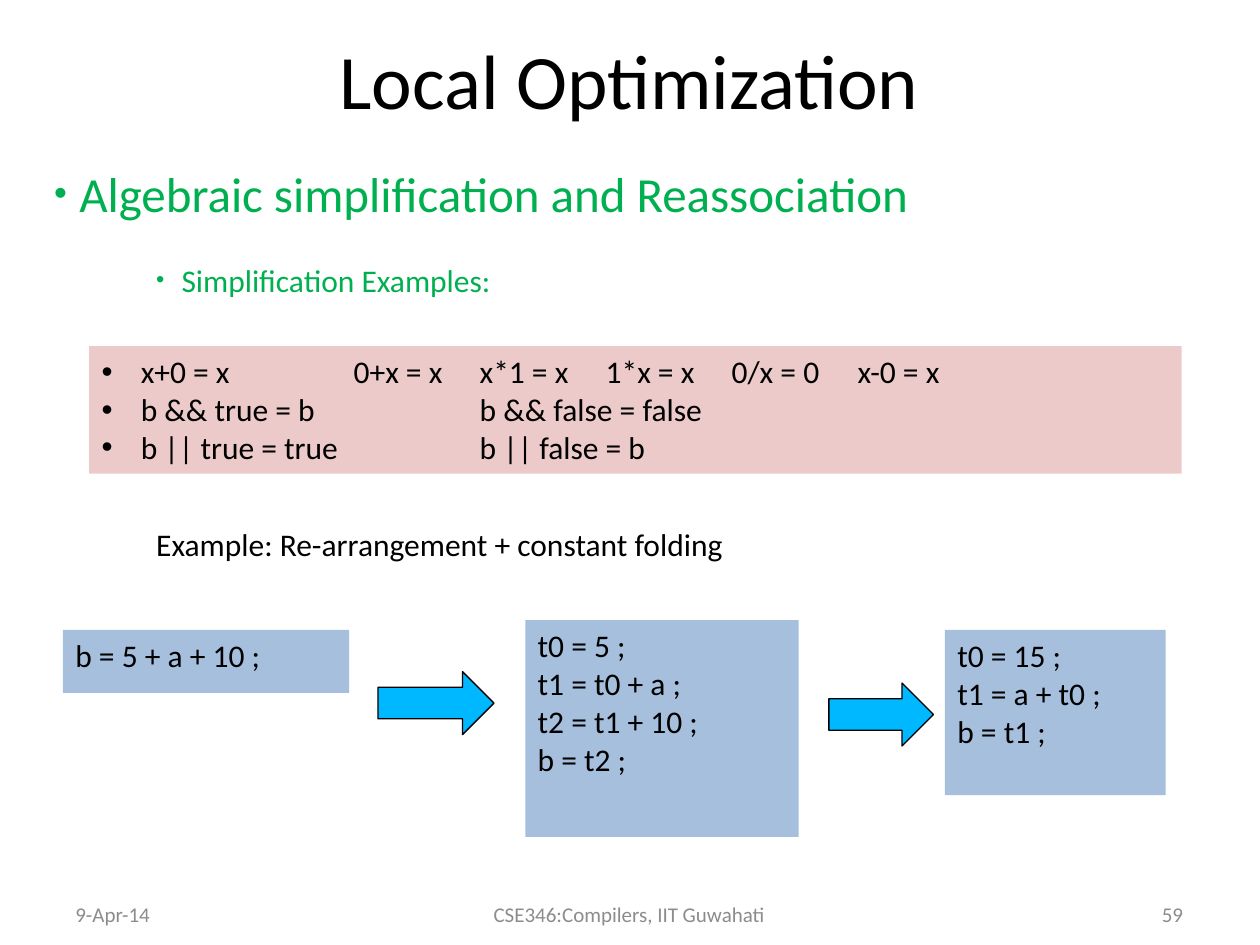
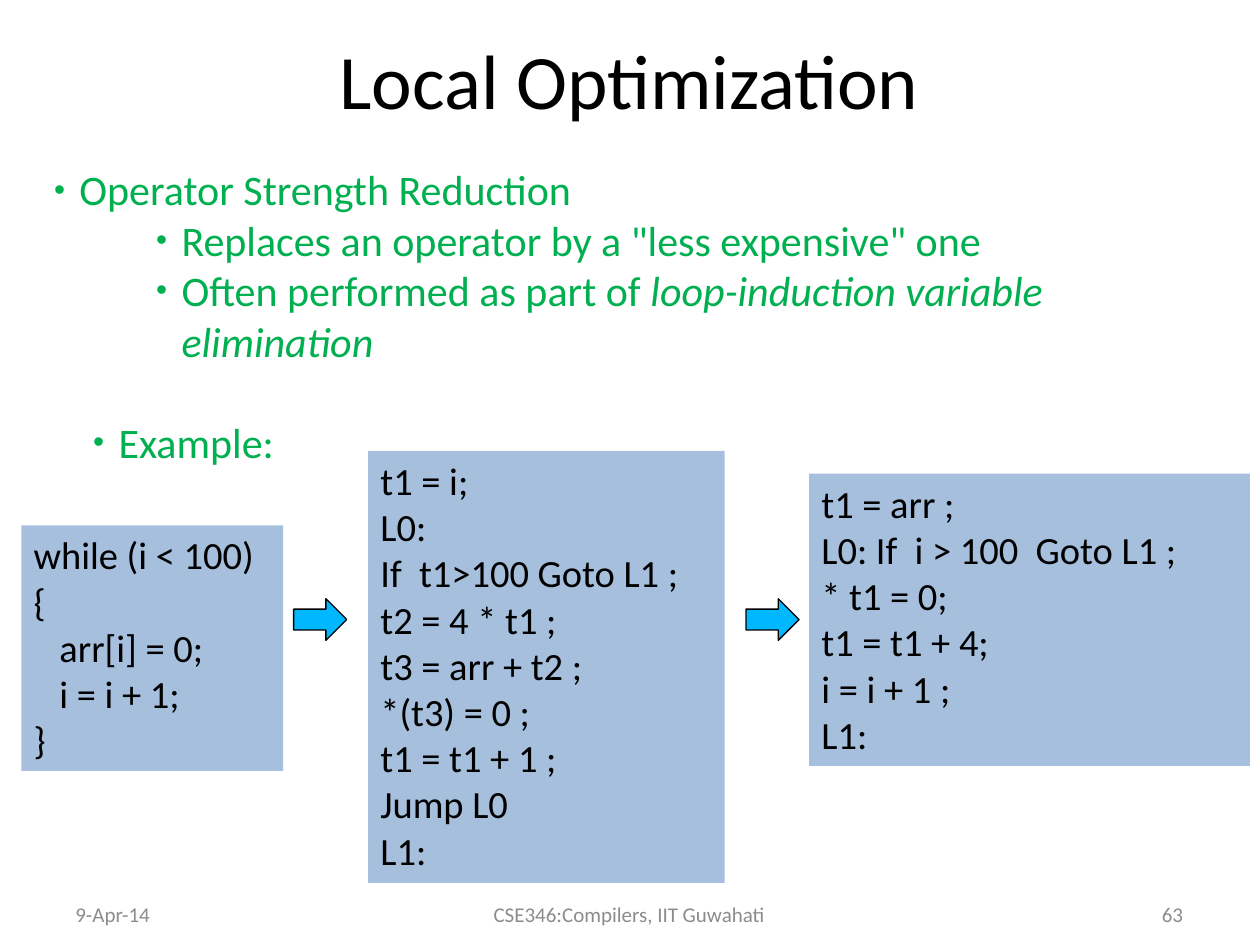
from dataclasses import dataclass

from lxml.etree import SubElement
from pptx import Presentation
from pptx.dml.color import RGBColor as Rgb
from pptx.enum.shapes import MSO_SHAPE as Preset
from pptx.enum.text import MSO_ANCHOR as Anchor, PP_ALIGN as Align
from pptx.oxml.ns import qn
from pptx.util import Cm, Pt


@dataclass(frozen=True)
class Theme:
    font: str = "Calibri"
    ink: str = "000000"
    accent: str = "00B050"
    muted: str = "8C8C8C"
    code_fill: str = "4F81BD"
    rules_fill: str = "D99694"
    arrow_fill: str = "00B8FF"
    title_size: int = 44
    topic_size: int = 28
    outline_size: int = 24
    code_size: int = 22
    body_size: int = 18
    footer_size: int = 12


THEME = Theme()
TITLE_BOX = (1.27, 0, 22.83, 3.18)
OUTLINE_BOX = (0.84, 3.18, 23.93, 14.4)
FOOTER_BOX = (1.27, 18.01, 22.83, 0.84)
HANGING = 0.51
DEEP_INDENT = 2.57


def set_bullet(paragraph, color, percent):
    props = paragraph._p.get_or_add_pPr()
    SubElement(SubElement(props, qn("a:buClr")), qn("a:srgbClr"), val=color)
    SubElement(props, qn("a:buSzPct"), val=str(percent * 1000))
    SubElement(props, qn("a:buFont"), typeface="Arial")
    SubElement(props, qn("a:buChar"), char="•")


def write(frame, text, italic_tail="", size=THEME.body_size, color=THEME.ink,
          align=Align.LEFT, indent=0, hanging=0, bullet=0, before=0, tab=2.54):
    """Fill the empty first paragraph or add one; bullet is a size in percent."""
    paragraph = frame.paragraphs[0]
    if paragraph.runs:
        paragraph = frame.add_paragraph()
    paragraph.alignment = align
    paragraph.space_before = Pt(before)
    props = paragraph._p.get_or_add_pPr()
    props.set("marL", str(Cm(indent)))
    props.set("indent", str(-Cm(hanging)))
    props.set("defTabSz", str(Cm(tab)))
    if bullet:
        set_bullet(paragraph, color, bullet)
    for part, italic in ((text, False), (italic_tail, True)):
        if part:
            run = paragraph.add_run()
            run.text = part
            run.font.name = THEME.font
            run.font.size = Pt(size)
            run.font.italic = italic
            run.font.color.rgb = Rgb.from_string(color)


def text_frame(slide, box, anchor=Anchor.TOP):
    frame = slide.shapes.add_textbox(*map(Cm, box)).text_frame
    frame.word_wrap = True
    frame.vertical_anchor = anchor
    return frame


def add_preset(slide, preset, box, fill, alpha=100):
    shape = slide.shapes.add_shape(preset, *map(Cm, box))
    shape.shadow.inherit = False
    shape.fill.solid()
    shape.fill.fore_color.rgb = Rgb.from_string(fill)
    if alpha < 100:
        color = shape._element.spPr.find(f"{qn('a:solidFill')}/{qn('a:srgbClr')}")
        SubElement(color, qn("a:alpha"), val=str(alpha * 1000))
    shape.line.fill.background()
    return shape


def add_panel(slide, box, fill):
    """Draw a half-transparent panel and return its text frame."""
    frame = add_preset(slide, Preset.RECTANGLE, box, fill, alpha=50).text_frame
    frame.word_wrap = True
    frame.vertical_anchor = Anchor.TOP
    return frame


def add_code(slide, box, code, size):
    """Write lines of code; a leading tab marks an indented line."""
    frame = add_panel(slide, box, THEME.code_fill)
    for line in code.splitlines():
        write(frame, line.lstrip("\t"), size=size,
              indent=0.52 if line.startswith("\t") else 0)


def add_step_arrow(slide, box):
    arrow = add_preset(slide, Preset.RIGHT_ARROW, box, THEME.arrow_fill)
    arrow.line.color.rgb = Rgb.from_string(THEME.ink)
    arrow.line.width = Pt(0.75)


def add_rewrite(slide, origin, stages, arrows, size=THEME.body_size):
    """Show successive forms of the code, placed relative to origin."""
    left, top = origin

    def placed(box):
        x, y, width, height = box
        return left + x, top + y, width, height

    for box, code in stages:
        add_code(slide, placed(box), code, size)
    for box in arrows:
        add_step_arrow(slide, placed(box))


def add_footer(slide, box, number):
    left, top, width, height = box
    side, middle = 5.89, 8.03
    fields = (
        (0, side, "9-Apr-14", Align.LEFT),
        ((width - middle) / 2, middle, "CSE346:Compilers, IIT Guwahati", Align.CENTER),
        (width - side, side, str(number), Align.RIGHT),
    )
    for offset, field_width, text, align in fields:
        frame = text_frame(slide, (left + offset, top, field_width, height), Anchor.MIDDLE)
        write(frame, text, size=THEME.footer_size, color=THEME.muted, align=align)


def new_slide(deck, number):
    slide = deck.slides.add_slide(deck.slide_layouts[6])
    write(text_frame(slide, TITLE_BOX, Anchor.MIDDLE), "Local Optimization",
          size=THEME.title_size, align=Align.CENTER)
    add_footer(slide, FOOTER_BOX, number)
    return slide


def write_point(frame, text, indent=DEEP_INDENT, **options):
    write(frame, text, color=THEME.accent, indent=indent, hanging=HANGING,
          bullet=75, **options)


def add_rules(slide, box):
    frame = add_panel(slide, box, THEME.rules_fill)
    for rule in (
        "x+0 = x\t0+x = x\tx*1 = x\t1*x = x \t0/x = 0 \tx-0 = x",
        "b && true = b\t\tb && false = false",
        "b || true = true\t\tb || false = b",
    ):
        write(frame, rule, indent=0.79, hanging=0.79, bullet=100)


def build_simplification(deck):
    slide = new_slide(deck, 59)
    outline = text_frame(slide, OUTLINE_BOX)
    write_point(outline, "Algebraic simplification and Reassociation",
                indent=HANGING, size=THEME.topic_size)
    write_point(outline, "Simplification Examples:", before=21.6)
    write(outline, "Example: Re-arrangement + constant folding",
          indent=2.06, before=6 * 21.6)
    add_rules(slide, (1.8, 6.98, 22.02, 2.57))
    add_rewrite(
        slide, (1.27, 12.5),
        stages=(
            ((0, 0.2, 5.77, 1.27), "b = 5 + a + 10 ;"),
            ((9.32, 0, 5.51, 4.37),
             "t0 = 5 ;\nt1 = t0 + a ;\nt2 = t1 + 10 ;\nb = t2 ;"),
            ((17.78, 0.2, 4.45, 3.33), "t0 = 15 ;\nt1 = a + t0 ;\nb = t1 ;"),
        ),
        arrows=((6.35, 1.04, 2.34, 1.27), (15.44, 1.27, 2.11, 1.27)),
    )


def build_strength_reduction(deck):
    slide = new_slide(deck, 63)
    outline = text_frame(slide, OUTLINE_BOX)
    size = THEME.outline_size
    write_point(outline, "Operator Strength Reduction", indent=HANGING, size=size)
    write_point(outline, 'Replaces an operator by a "less expensive" one', size=size)
    write_point(outline, "Often performed as part of ",
                italic_tail="loop-induction variable elimination", size=size)
    write_point(outline, "Example:", indent=1.3, size=size, before=29)
    add_rewrite(
        slide, (0.43, 9.09),
        stages=(
            ((0, 1.5, 5.28, 4.95),
             "while (i < 100) {\n\tarr[i] = 0;\n\ti = i + 1;\n}"),
            ((6.99, 0, 7.19, 8.71),
             "t1 = i;\nL0:\nIf  t1>100 Goto L1 ;\nt2 = 4 * t1 ;\nt3 = arr + t2 ;\n"
             "*(t3) = 0 ;\nt1 = t1 + 1 ;\nJump L0\nL1:"),
            ((15.88, 0.46, 8.89, 5.89),
             "t1 = arr ;\nL0: If  i > 100  Goto L1 ;\n* t1 = 0;\nt1 = t1 + 4;\n"
             "i = i + 1 ;\nL1:"),
        ),
        arrows=[(x, 2.98, 1.07, 0.84) for x in (5.49, 14.61)],
        size=THEME.code_size,
    )


def main():
    deck = Presentation()
    deck.slide_width, deck.slide_height = Cm(25.4), Cm(19.05)
    build_simplification(deck)
    build_strength_reduction(deck)
    deck.save("out.pptx")


if __name__ == "__main__":
    main()
